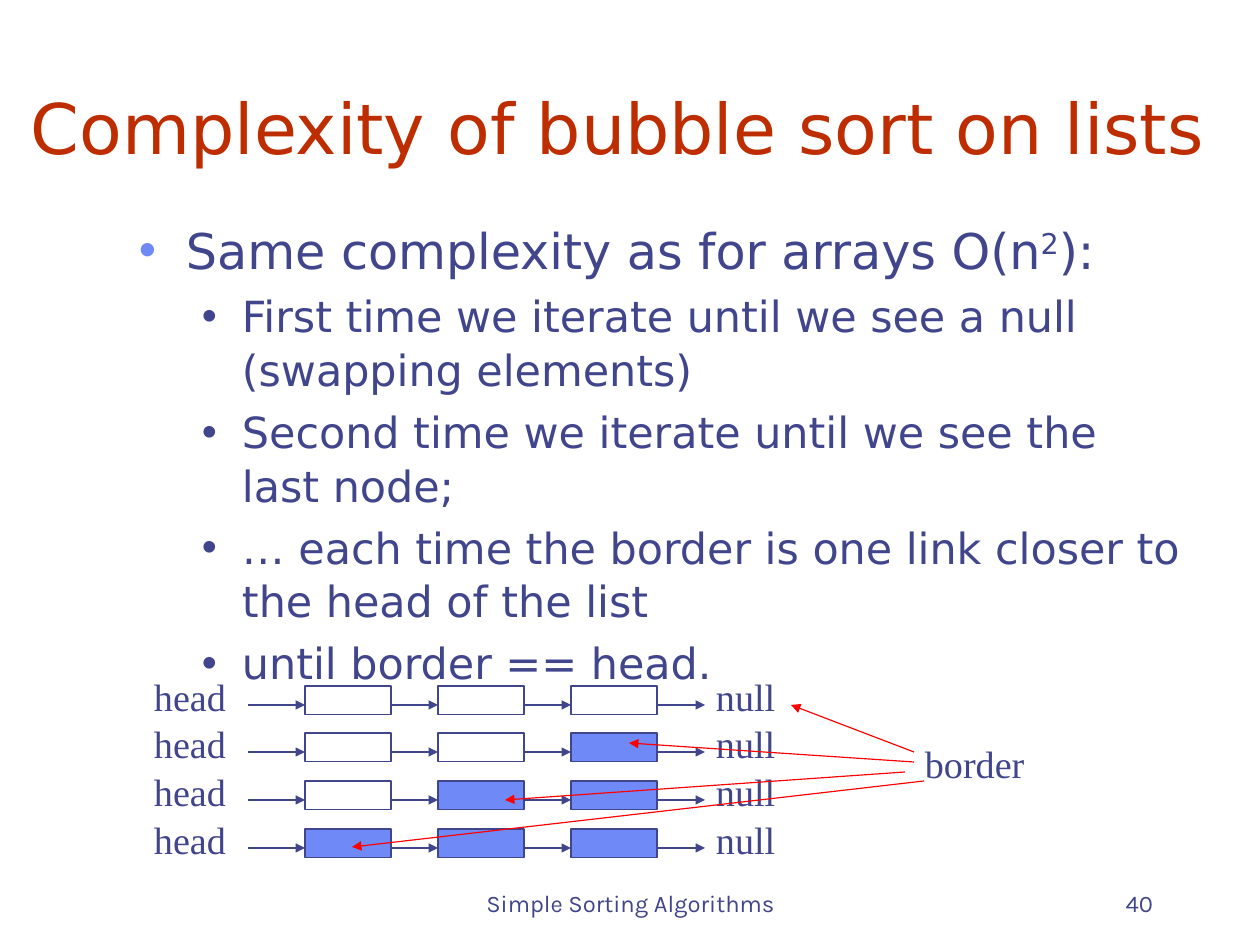
"""Build a slide on the cost of bubble sort on linked lists."""
from lxml import etree
from pptx import Presentation
from pptx import util as u
from pptx.dml.color import RGBColor
from pptx.enum import shapes, text
from pptx.oxml.ns import qn

NAVY = RGBColor(0x40, 0x45, 0x8C)
BLUE = RGBColor(0x6F, 0x89, 0xF7)
RUST = RGBColor(0xBE, 0x2D, 0x00)
RED = RGBColor(0xFF, 0, 0)
WHITE = RGBColor(0xFF, 0xFF, 0xFF)
SANS, SERIF, FOOT = "DejaVu Sans", "Times New Roman", "Karla"

TITLE = "Complexity of bubble sort on lists"
LEAD = ("Same complexity as for arrays O(n", "2", "):")
POINTS = [
    "First time we iterate until we see a null (swapping elements)",
    "Second time we iterate until we see the last node;",
    "… each time the border is one link closer to the head of the list",
    "until border == head.",
]
FOOTER, NUMBER = "Simple Sorting Algorithms", "40"
ROWS, NODES = 4, 3
BORDERS = [
    (914, 752, 791, 705),
    (914, 762, 629, 743),
    (905, 772, 505, 800),
    (924, 781, 352, 847),
]
NODE_W, NODE_H = 86, 29


def px(n):
    return u.Emu(n * 8000)


def style(para, size, font, color):
    para.font.size = u.Pt(size)
    para.font.name = font
    para.font.color.rgb = color


def label(words, box, size, font, color=NAVY, align=text.PP_ALIGN.LEFT,
          anchor=text.MSO_ANCHOR.TOP, pad=(11, 6)):
    frame = slide.shapes.add_textbox(*map(px, box)).text_frame
    frame.word_wrap = True
    frame.vertical_anchor = anchor
    frame.margin_left = frame.margin_right = px(pad[0])
    frame.margin_top = frame.margin_bottom = px(pad[1])
    para = frame.paragraphs[0]
    para.text = words
    para.alignment = align
    style(para, size, font, color)
    return frame


def bullet(para, left, hang, color):
    props = para._p.get_or_add_pPr()
    props.set("marL", str(px(left)))
    props.set("indent", str(px(-hang)))
    tint = etree.SubElement(props, qn("a:buClr"))
    etree.SubElement(tint, qn("a:srgbClr"), val=str(color))
    etree.SubElement(props, qn("a:buFont"), typeface="Arial")
    etree.SubElement(props, qn("a:buChar"), char="•")


def arrow(ends, color=NAVY):
    line = slide.shapes.add_connector(
        shapes.MSO_CONNECTOR.STRAIGHT, *map(px, ends))
    line.line.color.rgb = color
    line.line.width = u.Pt(0.75)
    etree.SubElement(line.line._get_or_add_ln(), qn("a:tailEnd"), type="triangle")
    etree.SubElement(line._element.spPr, qn("a:effectLst"))


def node(x, y, fill):
    rect = slide.shapes.add_shape(
        shapes.MSO_SHAPE.RECTANGLE, *map(px, (x, y, NODE_W, NODE_H)))
    rect.shadow.inherit = False
    rect.fill.solid()
    rect.fill.fore_color.rgb = fill
    rect.line.color.rgb = NAVY
    rect.line.width = u.Pt(0.75)


deck = Presentation()
deck.slide_width, deck.slide_height = px(1260), px(945)
slide = deck.slides.add_slide(deck.slide_layouts[6])

LOW = text.MSO_ANCHOR.BOTTOM
label(FOOTER, (431, 861, 399, 63), 15, FOOT,
      align=text.PP_ALIGN.CENTER, anchor=LOW, pad=(13, 7))
label(NUMBER, (903, 861, 263, 63), 15, FOOT,
      align=text.PP_ALIGN.RIGHT, anchor=LOW, pad=(13, 7))
label(TITLE, (18, 42, 1215, 134), 44, SANS, RUST, anchor=LOW, pad=(13, 7))

body = label(LEAD[0], (126, 211, 1071, 567), 31, SANS, pad=(13, 7))
lead = body.paragraphs[0]
power, rest = lead.add_run(), lead.add_run()
power.text, rest.text = LEAD[1:]
power.font._element.set("baseline", "30000")
lead.space_before = u.Pt(6)
lead.line_spacing = 1.04
bullet(lead, 47, 47, BLUE)
for point in POINTS:
    para = body.add_paragraph()
    para.text = point
    para.level = 1
    para.space_before = u.Pt(5.4)
    para.line_spacing = 1.04
    style(para, 27, SANS, NAVY)
    bullet(para, 103, 40, NAVY)

for row in range(ROWS):
    top = 686 + 143 * row // 3
    mid = top + 19
    label("head", (143, top - 19, 114, 57), 24, SERIF)
    label("null", (705, top - 19, 134, 57), 24, SERIF)
    lefts = [305 + 400 * col // 3 for col in range(NODES)]
    for col, x in enumerate(lefts):
        node(x, top, BLUE if col + row >= NODES else WHITE)
    starts = [248] + [x + NODE_W for x in lefts]
    for start, end in zip(starts, lefts + [705]):
        arrow((start, mid, end, mid))

label("border", (914, 734, 181, 57), 24, SERIF)
for ends in BORDERS:
    arrow(ends, RED)

deck.save("out.pptx")
